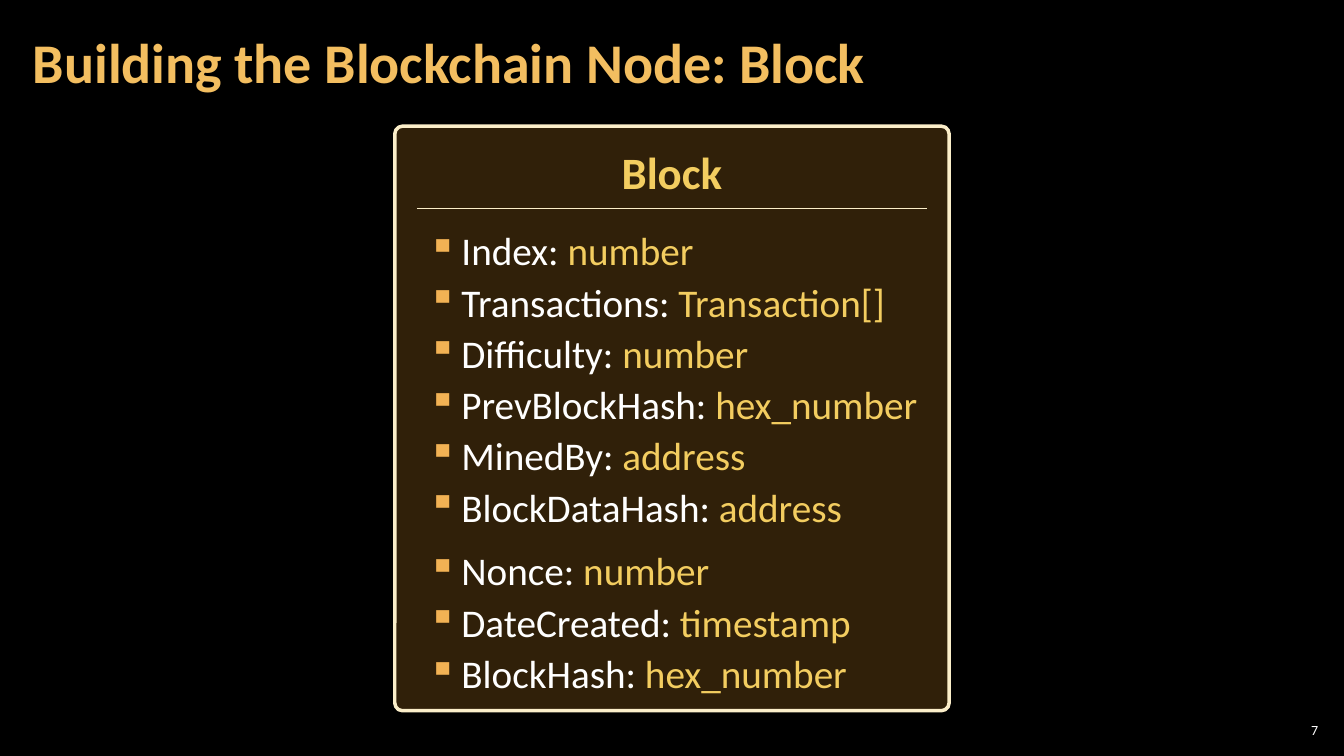
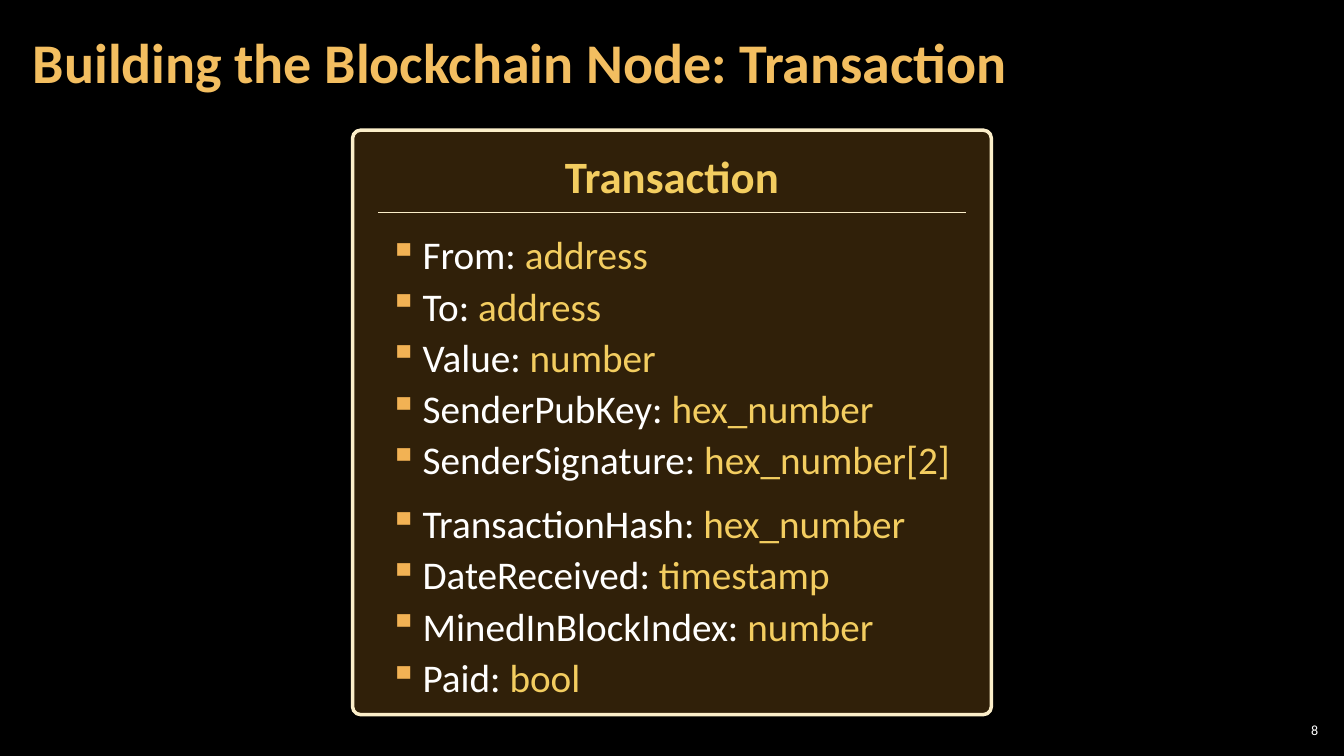
"""Build two slides that list the fields of the blockchain data types."""
from dataclasses import dataclass

import pptx
import pptx.dml.color
import pptx.enum.shapes
import pptx.enum.text
import pptx.oxml
import pptx.oxml.ns
import pptx.util
from lxml import etree

Cm = pptx.util.Cm
Pt = pptx.util.Pt
RGBColor = pptx.dml.color.RGBColor
Align = pptx.enum.text.PP_ALIGN
Anchor = pptx.enum.text.MSO_ANCHOR
qn = pptx.oxml.ns.qn

BLACK = RGBColor(0x00, 0x00, 0x00)
WHITE = RGBColor(0xFF, 0xFF, 0xFF)
TITLE_GOLD = RGBColor(0xF3, 0xBE, 0x60)
TYPE_GOLD = RGBColor(0xF3, 0xCD, 0x60)
BULLET_GOLD = RGBColor(0xF2, 0xB2, 0x54)
CARD_AMBER = RGBColor(0xF0, 0xA2, 0x2E)
CARD_BORDER = RGBColor(0xFB, 0xEE, 0xC9)

FONT = "Calibri"
SLIDE_WIDTH = Cm(33.87)
SLIDE_HEIGHT = Cm(19.05)
CARD_HEIGHT = Cm(14.73)
TITLE_ONLY = 5


@dataclass(frozen=True)
class Field:
    """One field of a data type."""

    name: str
    type_name: str
    starts_group: bool = False


@dataclass(frozen=True)
class DataType:
    """A data type, its card measures in centimetres and its page number."""

    name: str
    page: int
    card_top: float
    card_width: float
    fields: tuple[Field, ...]


DATA_TYPES = (
    DataType("Block", 7, 3.18, 13.97, (
        Field("Index", "number"),
        Field("Transactions", "Transaction[]"),
        Field("Difficulty", "number"),
        Field("PrevBlockHash", "hex_number"),
        Field("MinedBy", "address"),
        Field("BlockDataHash", "address"),
        Field("Nonce", "number", starts_group=True),
        Field("DateCreated", "timestamp"),
        Field("BlockHash", "hex_number"),
    )),
    DataType("Transaction", 8, 3.28, 16.1, (
        Field("From", "address"),
        Field("To", "address"),
        Field("Value", "number"),
        Field("SenderPubKey", "hex_number"),
        Field("SenderSignature", "hex_number[2]"),
        Field("TransactionHash", "hex_number", starts_group=True),
        Field("DateReceived", "timestamp"),
        Field("MinedInBlockIndex", "number"),
        Field("Paid", "bool"),
    )),
)


def write(paragraph, text: str, *, size: float, color: RGBColor,
          bold: bool = False, align=Align.LEFT, line_spacing: float = 1.0) -> None:
    """Append formatted text to a paragraph."""
    paragraph.alignment = align
    paragraph.line_spacing = line_spacing
    run = paragraph.add_run()
    run.text = text
    run.font.name = FONT
    run.font.size = Pt(size)
    run.font.bold = bold
    run.font.color.rgb = color


def set_frame(frame, *, side: float, edge: float, anchor=Anchor.MIDDLE) -> None:
    """Set the insets in centimetres, the anchor and wrapping of a text frame."""
    frame.margin_left = frame.margin_right = Cm(side)
    frame.margin_top = frame.margin_bottom = Cm(edge)
    frame.vertical_anchor = anchor
    frame.word_wrap = True


def add_bullet(paragraph) -> None:
    """Give a paragraph a hanging square bullet."""
    properties = paragraph._p.get_or_add_pPr()
    properties.set("marL", str(Cm(0.84)))
    properties.set("indent", str(-Cm(0.84)))
    color = etree.SubElement(properties, qn("a:buClr"))
    etree.SubElement(color, qn("a:srgbClr")).set("val", str(BULLET_GOLD))
    etree.SubElement(properties, qn("a:buChar")).set("char", "▪")


def add_title(slide, text: str) -> None:
    """Place and fill the title placeholder."""
    title = slide.shapes.title
    title.left, title.top, title.width, title.height = (
        Cm(0.53), Cm(0.1), Cm(26.59), Cm(3.07))
    set_frame(title.text_frame, side=0.3, edge=0.1)
    title.text_frame.auto_size = pptx.enum.text.MSO_AUTO_SIZE.NONE
    write(title.text_frame.paragraphs[0], text, size=40, color=TITLE_GOLD,
          bold=True, line_spacing=0.9)


def add_page_number(slide, page: int) -> None:
    """Put the page number in the bottom right corner."""
    number = slide.shapes.add_textbox(Cm(32.13), Cm(18.14), Cm(1.19), Cm(0.53))
    set_frame(number.text_frame, side=0.1, edge=0.1)
    write(number.text_frame.paragraphs[0], str(page), size=10, color=WHITE,
          align=Align.RIGHT)


def add_panel(shapes, data_type: DataType, left: int, top: int, width: int) -> None:
    """Draw the translucent rounded panel with its heading."""
    panel = shapes.add_shape(pptx.enum.shapes.MSO_SHAPE.ROUNDED_RECTANGLE,
                             left, top, width, CARD_HEIGHT)
    panel.adjustments[0] = 0.014
    panel.shadow.inherit = False
    panel.fill.solid()
    panel.fill.fore_color.rgb = CARD_AMBER
    fill_color = panel._element.spPr.find(qn("a:solidFill")).find(qn("a:srgbClr"))
    etree.SubElement(fill_color, qn("a:alpha")).set("val", "20000")
    panel.line.color.rgb = CARD_BORDER
    panel.line.width = Pt(2.5)
    set_frame(panel.text_frame, side=0.25, edge=0.13, anchor=Anchor.TOP)
    write(panel.text_frame.paragraphs[0], data_type.name, size=32, color=TYPE_GOLD,
          bold=True, align=Align.CENTER, line_spacing=1.2)


def add_divider(shapes, left: int, right: int, top: int) -> None:
    """Draw the line below a card heading."""
    divider = shapes.add_connector(pptx.enum.shapes.MSO_CONNECTOR.STRAIGHT,
                                   left, top, right, top)
    divider.line.color.rgb = CARD_BORDER
    divider.line.width = Pt(1)
    etree.SubElement(divider._element.spPr, qn("a:effectLst"))


def add_fields(shapes, fields: tuple[Field, ...], left: int, top: int,
               width: int) -> None:
    """List the fields with their types."""
    listing = shapes.add_textbox(left, top, width, Cm(12.19))
    frame = listing.text_frame
    set_frame(frame, side=0.25, edge=0.13, anchor=Anchor.TOP)
    frame.auto_size = pptx.enum.text.MSO_AUTO_SIZE.SHAPE_TO_FIT_TEXT
    for index, field in enumerate(fields):
        paragraph = frame.add_paragraph() if index else frame.paragraphs[0]
        paragraph.space_before = Pt(12 if field.starts_group else 3)
        write(paragraph, f"{field.name}: ", size=28, color=WHITE)
        write(paragraph, field.type_name, size=28, color=TYPE_GOLD)
        add_bullet(paragraph)


def add_card(slide, data_type: DataType) -> None:
    """Draw the grouped card, centred on the slide."""
    shapes = slide.shapes.add_group_shape().shapes
    width, top = Cm(data_type.card_width), Cm(data_type.card_top)
    left = (SLIDE_WIDTH - width) // 2
    divider_inset = round(width * 0.04)
    add_panel(shapes, data_type, left, top, width)
    add_divider(shapes, left + divider_inset, left + width - divider_inset,
                top + Cm(2.07))
    add_fields(shapes, data_type.fields, left + divider_inset + Cm(0.03),
               top + Cm(2.4), round(width * 0.95))


def main() -> None:
    """Build and save the presentation."""
    deck = pptx.Presentation()
    deck.slide_width, deck.slide_height = SLIDE_WIDTH, SLIDE_HEIGHT
    background = deck.slide_master.background.fill
    background.solid()
    background.fore_color.rgb = BLACK
    for data_type in DATA_TYPES:
        slide = deck.slides.add_slide(deck.slide_layouts[TITLE_ONLY])
        add_title(slide, f"Building the Blockchain Node: {data_type.name}")
        add_page_number(slide, data_type.page)
        add_card(slide, data_type)
    deck.save("out.pptx")


if __name__ == "__main__":
    main()
